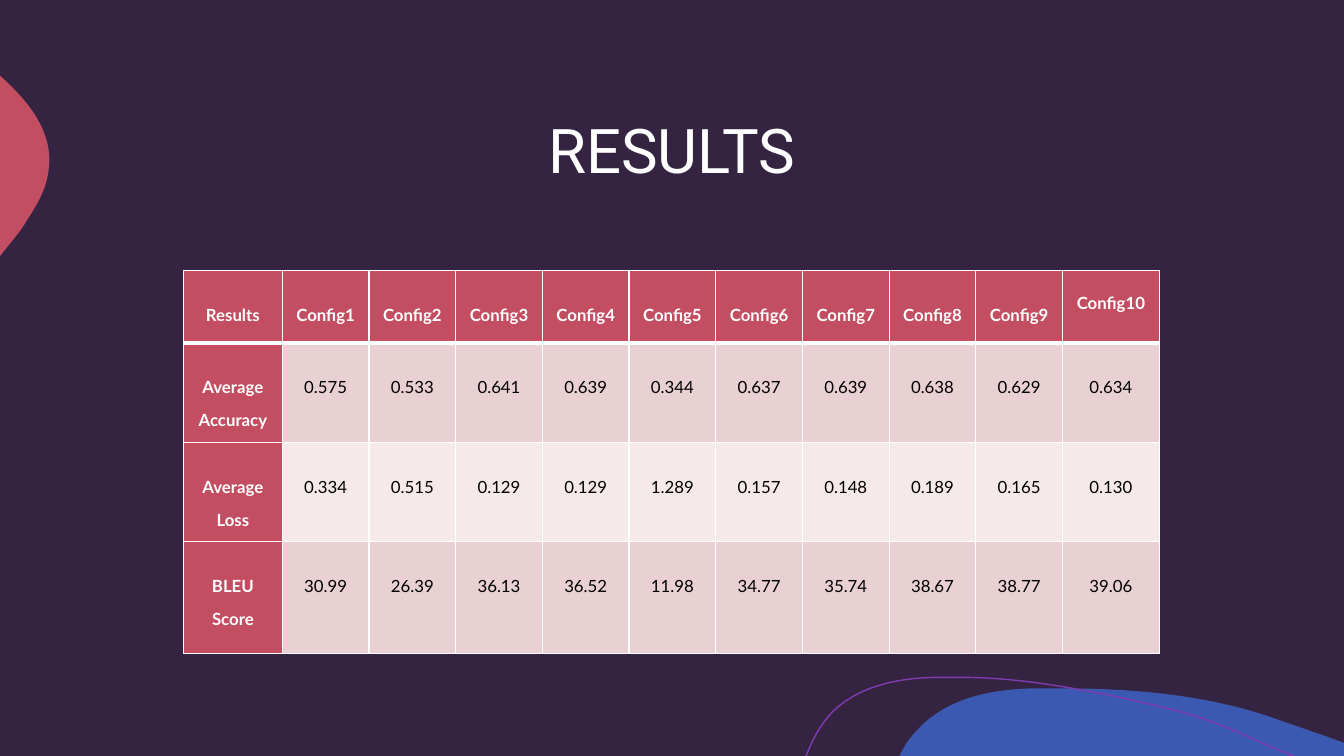
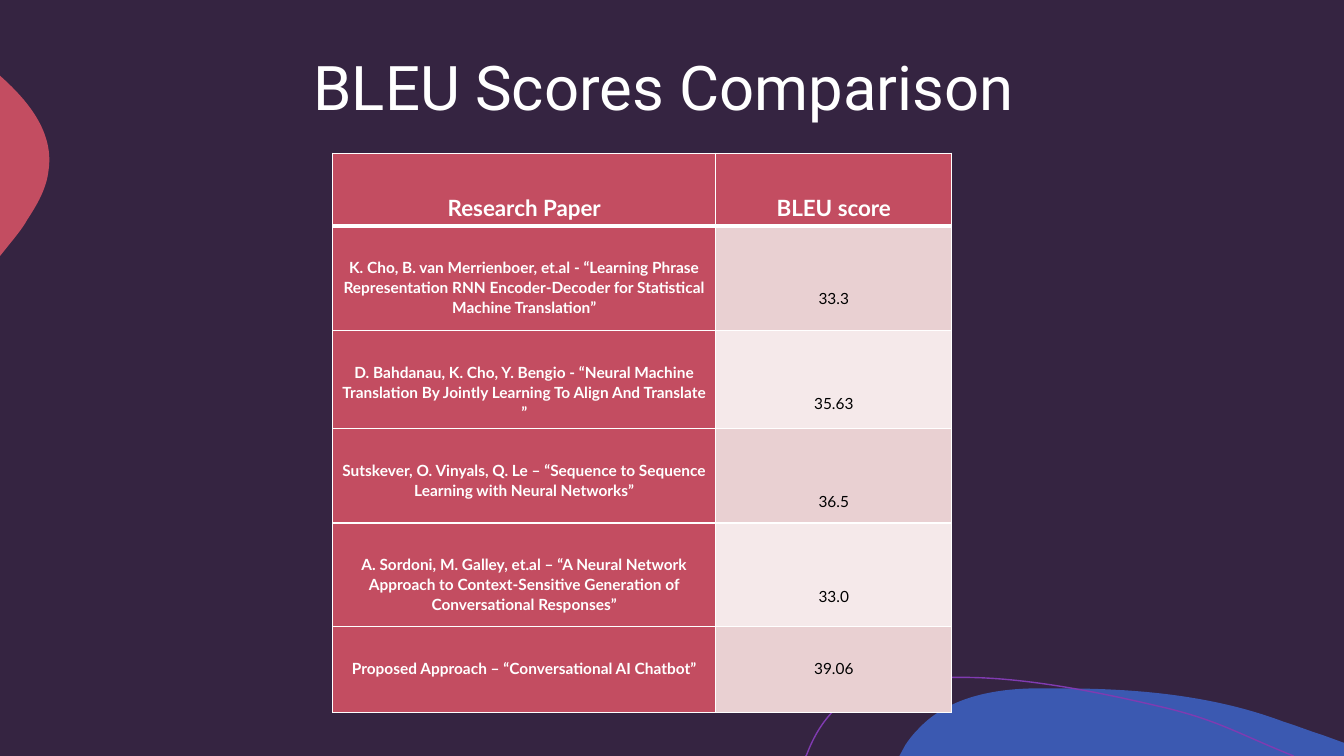
from dataclasses import dataclass, field

from lxml import etree
from pptx import Presentation
from pptx.dml.color import RGBColor
from pptx.enum.text import MSO_ANCHOR, MSO_AUTO_SIZE, PP_ALIGN
from pptx.oxml.ns import qn
from pptx.util import Inches, Pt

CENTER = PP_ALIGN.CENTER
TOP, MIDDLE = MSO_ANCHOR.TOP, MSO_ANCHOR.MIDDLE
NO_FIT = MSO_AUTO_SIZE.NONE

# Theme
NIGHT = RGBColor(0x35, 0x24, 0x41)
BLUE = RGBColor(0x3B, 0x59, 0xB1)
ROSE = RGBColor(0xC3, 0x4D, 0x61)
PURPLE = RGBColor(0x80, 0x3B, 0xB1)
WHITE = RGBColor(0xFF, 0xFF, 0xFF)
BLACK = RGBColor(0, 0, 0)
BANDS = (RGBColor(0xE9, 0xD0, 0xD2), RGBColor(0xF5, 0xE9, 0xEA))
TITLE_FONT, TABLE_FONT = "Roboto", "Lato"
TITLE_SIZE = 44

Point = tuple[float, float]
Box = tuple[float, float, float, float]


@dataclass
class Outline:
    """Segments hold one end point, or two controls and an end point."""
    start: Point
    segments: list[tuple[Point, ...]]
    fill: RGBColor | None = None
    line: RGBColor | None = None


@dataclass
class Grid:
    """A table; tops are the space above the text in a cell, in inches."""
    left: float
    top: float
    cols: list[float]
    rows: list[float]
    cells: list[list[str]]
    inset: float
    head_size: int
    body_size: int
    head_top: float
    body_top: float
    tops: dict[tuple[int, int], float] = field(default_factory=dict)


OUTLINES = [
    Outline((10.54, 6.83), [
        ((11.28, 6.83), (12.04, 6.9), (12.73, 7.16)),
        ((12.86, 7.2), (12.98, 7.25), (13.11, 7.29)),
        ((13.33, 7.37),), ((13.33, 7.5),), ((8.92, 7.5),), ((8.98, 7.39),),
        ((9.02, 7.33), (9.06, 7.28), (9.11, 7.23)),
        ((9.39, 6.93), (9.82, 6.84), (10.23, 6.83)),
        ((10.33, 6.83), (10.43, 6.83), (10.54, 6.83)),
    ], fill=BLUE),
    Outline((0, 0.75), [
        ((0.01, 0.76),),
        ((0.3, 1.02), (0.54, 1.33), (0.48, 1.7)),
        ((0.46, 1.87), (0.37, 2.03), (0.27, 2.18)),
        ((0.24, 2.24), (0.17, 2.33), (0.08, 2.44)),
        ((0, 2.54),),
    ], fill=ROSE),
    Outline((7.99, 7.5), [
        ((8, 7.49),),
        ((8.06, 7.33), (8.14, 7.19), (8.24, 7.08)),
        ((8.5, 6.81), (8.89, 6.73), (9.26, 6.72)),
        ((9.55, 6.72),),
        ((10.22, 6.72), (11, 6.89), (11.55, 7.02)),
        ((12.09, 7.15), (12.26, 7.27), (12.83, 7.5)),
    ], line=PURPLE),
]

RESULTS = Grid(
    left=1.82, top=2.68,
    cols=[0.98] + [0.86] * 9 + [0.96], rows=[0.72, 0.99, 0.98, 1.11],
    cells=[
        ["Results"] + [f"Config{n}" for n in range(1, 11)],
        ["Average\nAccuracy", "0.575", "0.533", "0.641", "0.639", "0.344",
         "0.637", "0.639", "0.638", "0.629", "0.634"],
        ["Average\nLoss", "0.334", "0.515", "0.129", "0.129", "1.289",
         "0.157", "0.148", "0.189", "0.165", "0.130"],
        ["BLEU\nScore", "30.99", "26.39", "36.13", "36.52", "11.98",
         "34.77", "35.74", "38.67", "38.77", "39.06"],
    ],
    inset=0.07, head_size=12, body_size=12, head_top=0.33, body_top=0.33,
    tops={(0, 10): 0.21},
)

COMPARISON = Grid(
    left=3.3, top=1.52,
    cols=[3.8, 2.34], rows=[0.72, 1.04, 0.97, 0.94, 1.03, 0.85],
    cells=[
        ["Research Paper", "BLEU score"],
        ["K. Cho, B. van Merrienboer, et.al - “Learning Phrase Representation "
         "RNN Encoder-Decoder for Statistical Machine Translation”", "33.3"],
        ["D. Bahdanau, K. Cho, Y. Bengio - “Neural Machine Translation By "
         "Jointly Learning To Align And Translate ”", "35.63"],
        ["Sutskever, O. Vinyals, Q. Le – “Sequence to Sequence Learning with "
         "Neural Networks”", "36.5"],
        ["A. Sordoni, M. Galley, et.al – “A Neural Network Approach to "
         "Context-Sensitive Generation of Conversational Responses”", "33.0"],
        ["Proposed Approach – “Conversational AI Chatbot”", "39.06"],
    ],
    inset=0.06, head_size=16, body_size=11, head_top=0.39, body_top=0.31,
    tops={(row, 1): 0.62 for row in range(1, 5)},
)


def set_all(target, formats: dict) -> None:
    for name, value in formats.items():
        setattr(target, name, value)


def bend(shape, segments: list[tuple[Point, ...]]) -> None:
    """Turn the straight segments that have control points into curves."""
    lines = list(shape.element.iter(qn("a:lnTo")))
    for line, (*controls, _) in zip(lines, segments):
        if not controls:
            continue
        line_end = line[0]
        curve = etree.Element(qn("a:cubicBezTo"))
        for x, y in controls:
            etree.SubElement(curve, qn("a:pt"), x=str(Inches(x) - shape.left),
                             y=str(Inches(y) - shape.top))
        curve.append(line_end)
        line.getparent().replace(line, curve)


def add_outline(s, outline: Outline):
    builder = s.shapes.build_freeform(*map(Inches, outline.start))
    builder.add_line_segments(
        [tuple(map(Inches, segment[-1])) for segment in outline.segments],
        close=outline.fill is not None)
    shape = builder.convert_to_shape()
    bend(shape, outline.segments)
    shape.shadow.inherit = False
    for part, color in ((shape.fill, outline.fill),
                        (shape.line.fill, outline.line)):
        if color is None:
            part.background()
        else:
            part.solid()
            part.fore_color.rgb = color
    if outline.line is not None:
        shape.line.width = Pt(1)
    return shape


def decorate_master(prs, s) -> None:
    """Give the master its background and move the outlines onto it."""
    master = prs.slide_master
    master.background.fill.solid()
    master.background.fill.fore_color.rgb = NIGHT
    for outline in OUTLINES:
        master.element.cSld.spTree.append(add_outline(s, outline).element)


def add_title(s, text: str, box: Box) -> None:
    title = s.shapes.title
    set_all(title, dict(zip(("left", "top", "width", "height"),
                            map(Inches, box))))
    tf = title.text_frame
    set_all(tf, {"text": text, "word_wrap": True, "auto_size": NO_FIT,
                 "vertical_anchor": MIDDLE})
    p = tf.paragraphs[0]
    set_all(p, {"alignment": CENTER, "line_spacing": 0.9})
    set_all(p.runs[0].font, {"name": TITLE_FONT, "size": Pt(TITLE_SIZE)})
    p.runs[0].font.color.rgb = WHITE


def add_borders(cell, widths: dict[str, float]) -> None:
    tc_pr = cell._tc.get_or_add_tcPr()
    for side, width in widths.items():
        ln = etree.SubElement(tc_pr, qn(f"a:ln{side}"), w=str(Pt(width)))
        fill = etree.SubElement(ln, qn("a:solidFill"))
        etree.SubElement(fill, qn("a:srgbClr"), val=str(WHITE))


def fill_cell(cell, grid: Grid, row: int, col: int) -> None:
    is_head = row == 0
    is_label = is_head or col == 0
    add_borders(cell, {"L": 1, "R": 1, "T": 3 if row == 1 else 1,
                       "B": 3 if is_head else 1})
    cell.fill.solid()
    cell.fill.fore_color.rgb = ROSE if is_label else BANDS[(row - 1) % 2]
    top = grid.tops.get((row, col), grid.head_top if is_head else grid.body_top)
    set_all(cell, {"text": grid.cells[row][col], "vertical_anchor": TOP,
                   "margin_left": Inches(grid.inset),
                   "margin_right": Inches(grid.inset),
                   "margin_top": Inches(top), "margin_bottom": 0})
    size = grid.head_size if is_head else grid.body_size
    for p in cell.text_frame.paragraphs:
        set_all(p, {"alignment": CENTER, "line_spacing": 1.07,
                    "space_after": Pt(8)})
        for r in p.runs:
            set_all(r.font, {"name": TABLE_FONT, "size": Pt(size),
                             "bold": is_label})
            r.font.color.rgb = WHITE if is_label else BLACK


def add_grid(s, grid: Grid) -> None:
    table = s.shapes.add_table(
        len(grid.rows), len(grid.cols), Inches(grid.left), Inches(grid.top),
        Inches(sum(grid.cols)), Inches(sum(grid.rows))).table
    for column, width in zip(table.columns, grid.cols):
        column.width = Inches(width)
    for row, height in enumerate(grid.rows):
        table.rows[row].height = Inches(height)
        for col in range(len(grid.cols)):
            fill_cell(table.cell(row, col), grid, row, col)


def main() -> None:
    prs = Presentation()
    prs.slide_width, prs.slide_height = Inches(13.33), Inches(7.5)
    title_only = prs.slide_layouts[5]

    # Results by configuration
    s = prs.slides.add_slide(title_only)
    decorate_master(prs, s)
    add_title(s, "RESULTS", (0.83, 0.83, 11.67, 1.38))
    add_grid(s, RESULTS)

    # Comparison with published papers
    s = prs.slides.add_slide(title_only)
    add_title(s, "BLEU Scores Comparison", (0.75, 0.27, 11.67, 1.25))
    add_grid(s, COMPARISON)

    prs.save("out.pptx")


if __name__ == "__main__":
    main()
